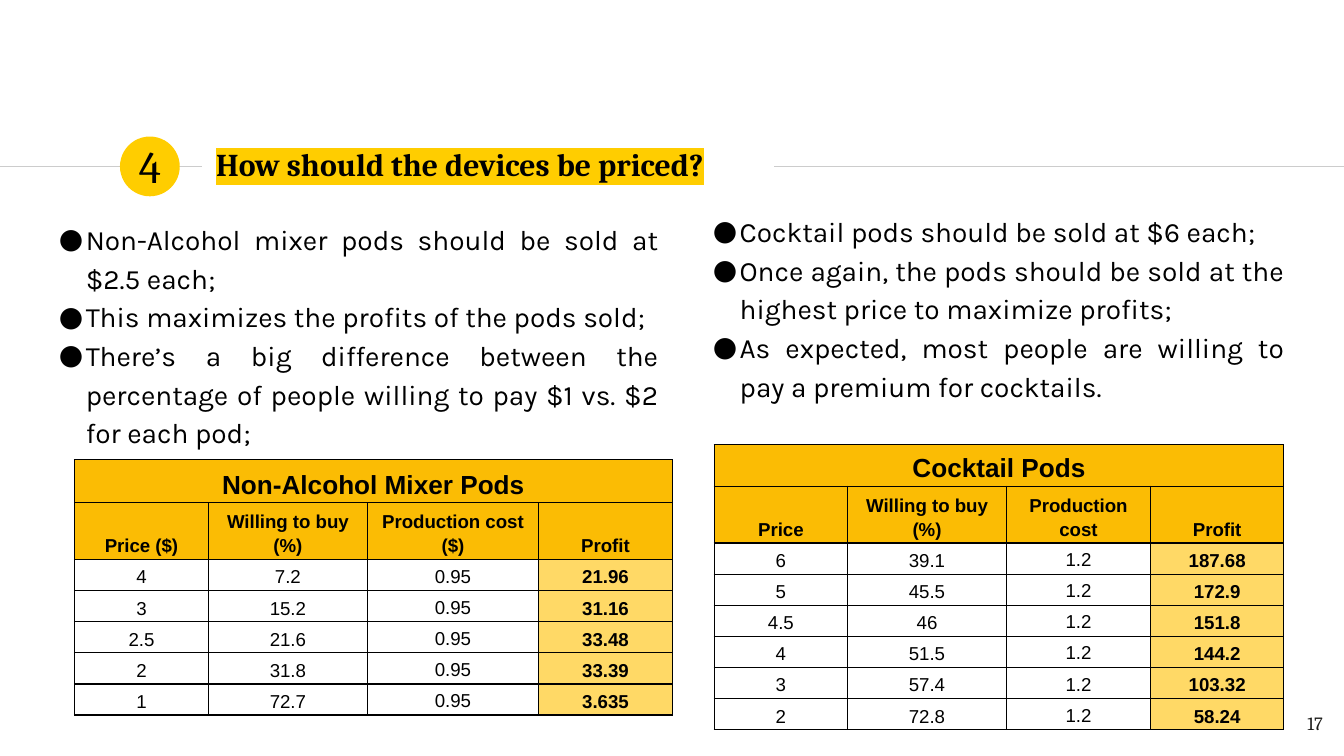
from lxml import etree
from pptx import Presentation
from pptx import util as u
from pptx.dml.color import RGBColor
from pptx.enum import shapes, text
from pptx.oxml import parse_xml
from pptx.oxml.ns import nsdecls, qn

YELLOW, AMBER, PALE, BLACK, GREY = "FFCD00", "FBBC04", "FFD966", "000000", "CCCCCC"
AL, ANC = text.PP_ALIGN, text.MSO_ANCHOR


def rgb(h):
    return RGBColor.from_string(h)


def write(tf, lines, para, font, color=BLACK):
    for i, line in enumerate(lines):
        p = tf.paragraphs[0] if i == 0 else tf.add_paragraph()
        for k, v in para.items():
            setattr(p, k, v)
        r = p.add_run()
        r.text = line
        for k, v in font.items():
            setattr(r.font, k, v)
        r.font.color.rgb = rgb(color)


prs = Presentation()
prs.slide_width = u.Inches(10)
prs.slide_height = prs.slide_width * 9 // 16
unit = prs.slide_width / 100
s = prs.slides.add_slide(prs.slide_layouts[6])

rule_row = 12.4
for start, end in [(0, 15), (57.6, 100)]:
    ends = [int(n * unit) for n in (start, rule_row, end, rule_row)]
    cn = s.shapes.add_connector(shapes.MSO_CONNECTOR.STRAIGHT, *ends)
    cn.line.color.rgb = rgb(GREY)
    cn.line.width = u.Pt(0.75)
    etree.SubElement(cn._element.spPr, qn("a:effectLst"))

sp = s.shapes.add_shape(shapes.MSO_SHAPE.OVAL, *[int(n * unit) for n in (8.93, 10.16, 4.45, 4.45)])
sp.shadow.inherit = False
sp.fill.solid()
sp.fill.fore_color.rgb = rgb(YELLOW)
sp.line.fill.background()

left_points = [
    "Non-Alcohol mixer pods should be sold at $2.5 each;",
    "This maximizes the profits of the pods sold;",
    "There’s a big difference between the percentage of people willing to pay $1 vs. $2 for each pod;",
]
right_points = [
    "Cocktail pods should be sold at $6 each;",
    "Once again, the pods should be sold at the highest price to maximize profits;",
    "As expected, most people are willing to pay a premium for cocktails.",
]
cambria = {"name": "Cambria"}
body_para = {"alignment": AL.JUSTIFY, "line_spacing": 1.15, "space_before": u.Pt(0)}
body_font = {"name": "Karla", "size": u.Pt(15)}
boxes = [
    ((93.4, 52.1, 6, 4.15), ANC.TOP, ["17"], {"alignment": AL.RIGHT}, {**cambria, "size": u.Pt(10)}, "1D1D1B"),
    ((15.1, 9.8, 42.4, 4.8), ANC.MIDDLE, ["How should the devices be priced?"], {},
     {**cambria, "size": u.Pt(17), "bold": True}, BLACK),
    ((3.4, 15.2, 46.6, 19.1), ANC.TOP, left_points, body_para, body_font, BLACK),
    ((52.05, 14.6, 44.5, 17), ANC.TOP, right_points, body_para, body_font, BLACK),
    ((8.93, 9.9, 4.45, 4.8), ANC.MIDDLE, ["4"], {"alignment": AL.CENTER}, {**cambria, "size": u.Pt(24)}, BLACK),
]
for at, anchor, lines, para, font, color in boxes:
    tf = s.shapes.add_textbox(*[int(n * unit) for n in at]).text_frame
    tf.word_wrap = True
    tf.vertical_anchor = anchor
    for side in ("left", "top", "right", "bottom"):
        setattr(tf, "margin_" + side, int(unit))
    write(tf, lines, para, font, color)
    if font.get("bold"):
        fill = tf.paragraphs[0].runs[0].font._element.find(qn("a:solidFill"))
        fill.addnext(parse_xml(f'<a:highlight {nsdecls("a")}><a:srgbClr val="{YELLOW}"/></a:highlight>'))
    if para is body_para:
        tf.paragraphs[0].space_before = u.Pt(6)
        for p in tf.paragraphs:
            pPr = p._p.get_or_add_pPr()
            pPr.set("marL", str(int(2 * unit)))
            pPr.set("indent", str(int(-3 * unit)))
            color_el = etree.SubElement(pPr, qn("a:buClr"))
            etree.SubElement(color_el, qn("a:srgbClr"), val=BLACK)
            etree.SubElement(pPr, qn("a:buSzPts"), val="1500")
            etree.SubElement(pPr, qn("a:buFont"), typeface="Karla")
            etree.SubElement(pPr, qn("a:buChar"), char="●")

mixer_rows = [
    ["Non-Alcohol Mixer Pods"],
    ["Price ($)", "Willing to buy (%)", "Production cost ($)", "Profit"],
    ["4", "7.2", "0.95", "21.96"],
    ["3", "15.2", "0.95", "31.16"],
    ["2.5", "21.6", "0.95", "33.48"],
    ["2", "31.8", "0.95", "33.39"],
    ["1", "72.7", "0.95", "3.635"],
]
cocktail_rows = [
    ["Cocktail Pods"],
    ["Price", "Willing to buy (%)", "Production cost", "Profit"],
    ["6", "39.1", "1.2", "187.68"],
    ["5", "45.5", "1.2", "172.9"],
    ["4.5", "46", "1.2", "151.8"],
    ["4", "51.5", "1.2", "144.2"],
    ["3", "57.4", "1.2", "103.32"],
    ["2", "72.8", "1.2", "58.24"],
]
tables = [
    ((5.54, 34.2, 44.5, 18.4), [9.97, 11.83, 12.73, 9.97], [3.2, 3.5, 2.2], mixer_rows),
    ((53.14, 33.1, 42.4, 20), [9.92, 11.83, 10.72, 9.92], [2.8, 3.7, 2.1], cocktail_rows),
]
margins = {"margin_left": 0.03, "margin_right": 0.03, "margin_top": 0.02, "margin_bottom": 0.02}
for at, widths, heights, rows in tables:
    tb = s.shapes.add_table(len(rows), 4, *[int(n * unit) for n in at]).table
    tb.first_row = tb.horz_banding = False
    for col, w in zip(tb.columns, widths):
        col.width = int(w * unit)
    tb.cell(0, 0).merge(tb.cell(0, 3))
    for i, values in enumerate(rows):
        tb.rows[i].height = int(heights[min(i, 2)] * unit)
        for j in range(4):
            c = tb.cell(i, j)
            for k, v in margins.items():
                setattr(c, k, u.Inches(v))
            c.vertical_anchor = ANC.MIDDLE if i > 1 and j == 2 else ANC.BOTTOM
            font = {"name": "Arial", "size": u.Pt(14 if i == 0 else 10), "bold": i < 2 or j == 3}
            write(c.text_frame, values[j:j + 1], {"alignment": AL.CENTER, "line_spacing": 1.15}, font)
            shade = AMBER if i < 2 else PALE if j == 3 else None
            if shade:
                c.fill.solid()
                c.fill.fore_color.rgb = rgb(shade)
            else:
                c.fill.background()
            tcPr = c._tc.get_or_add_tcPr()
            for n, edge in enumerate("LRTB"):
                tcPr.insert(n, parse_xml(
                    f'<a:ln{edge} {nsdecls("a")} w="{u.Pt(0.75)}"><a:solidFill>'
                    f'<a:srgbClr val="{BLACK}"/></a:solidFill></a:ln{edge}>'))

prs.save("out.pptx")
